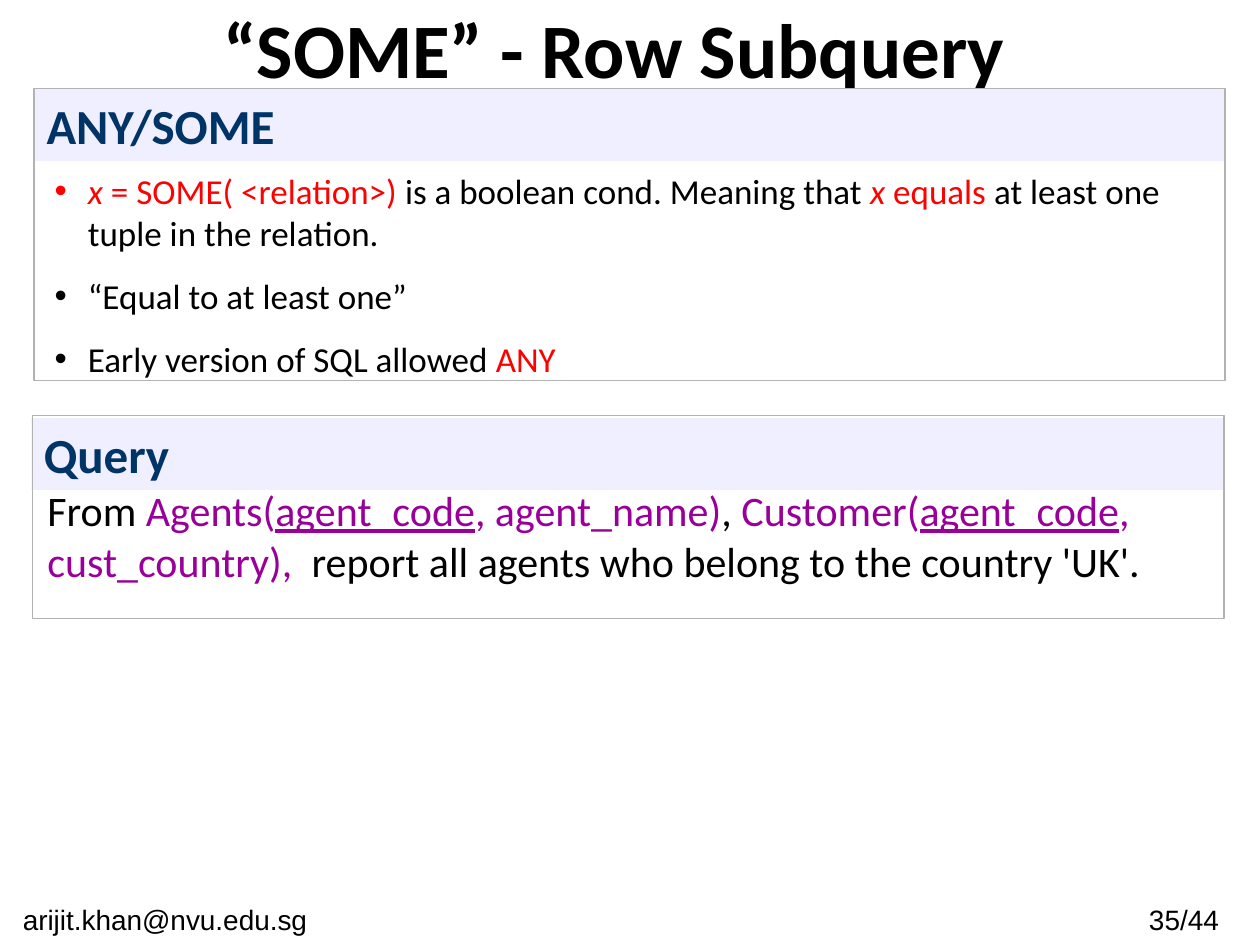
import pptx
import pptx.util
import pptx.dml.color
import pptx.enum.shapes
import pptx.enum.text
import lxml.etree

Pt = pptx.util.Pt
RGBColor = pptx.dml.color.RGBColor
ALIGN = pptx.enum.text.PP_ALIGN
ANCHOR = pptx.enum.text.MSO_ANCHOR

BLACK = RGBColor(0, 0, 0)
RED = RGBColor(0xFF, 0, 0)
PURPLE = RGBColor(0x99, 0, 0x99)
NAVY = RGBColor(0, 0x33, 0x66)
LAVENDER = RGBColor(0xEF, 0xEF, 0xFF)
GREY = RGBColor(0xB2, 0xB2, 0xB2)

# Each run is (text, colour, style); style letters: b bold, i italic, u underline.
TITLE = [("“SOME” - Row Subquery", BLACK, "b")]
POINTS = [
    [("x", RED, "i"), (" = SOME( <relation>) ", RED, ""),
     ("is a boolean cond. Meaning that ", BLACK, ""),
     ("x", RED, "i"), (" equals ", RED, ""),
     ("at least one tuple in the relation.", BLACK, "")],
    [("“Equal to at least one”", BLACK, "")],
    [("Early version of SQL allowed ", BLACK, ""), ("ANY", RED, "")],
]
QUERY = [
    ("From ", BLACK, ""),
    ("Agents(", PURPLE, ""), ("agent_code", PURPLE, "u"), (", agent_name)", PURPLE, ""),
    (", ", BLACK, ""),
    ("Customer(", PURPLE, ""), ("agent_code", PURPLE, "u"), (", cust_country), ", PURPLE, ""),
    (" report all agents who belong to the country 'UK'.", BLACK, ""),
]
# Heading, heading area, frame area (left, top, width, height)
PANELS = [
    ("Query", (18, 239, 681, 41), (18.5, 237.5, 681, 116)),
    ("ANY/SOME", (19.5, 51, 680.5, 41), (19.5, 50.5, 680.5, 167)),
]
# Text, left, width
FOOTERS = [("35/44 ", 637, 83.5), ("arijit.khan@nvu.edu.sg ", 0, 193)]

TITLE_AREA = (18, 0, 666, 54)
POINTS_AREA = (24, 93.5, 677, 128)
QUERY_AREA = (20, 273.5, 680, 65.5)
FOOTER_TOP, FOOTER_HEIGHT = 512, 28
BULLET_INDENT = 19
POINT_GAP = 12


def place(shape, area):
    shape.left, shape.top, shape.width, shape.height = [Pt(value) for value in area]


def prepare(shape, anchor=ANCHOR.TOP):
    """Give the shape a wrapping text frame of fixed size and return it."""
    frame = shape.text_frame
    frame.word_wrap = True
    frame.auto_size = pptx.enum.text.MSO_AUTO_SIZE.NONE
    frame.vertical_anchor = anchor
    return frame


def write(para, runs, size, font="Calibri", align=ALIGN.LEFT):
    para.alignment = align
    for text, colour, style in runs:
        span = para.add_run()
        span.text = text
        span.font.name = font
        span.font.size = Pt(size)
        span.font.color.rgb = colour
        span.font.bold = "b" in style
        span.font.italic = "i" in style
        span.font.underline = "u" in style


def add_bullet(para):
    properties = para._p.get_or_add_pPr()
    properties.set("marL", str(Pt(BULLET_INDENT)))
    properties.set("indent", str(-Pt(BULLET_INDENT)))
    namespace = pptx.oxml.ns.qn
    font = lxml.etree.SubElement(properties, namespace("a:buFont"))
    font.set("typeface", "Arial")
    lxml.etree.SubElement(properties, namespace("a:buChar")).set("char", "•")


def add_rectangle(page, area):
    box = page.shapes.add_shape(
        pptx.enum.shapes.MSO_SHAPE.RECTANGLE, *[Pt(value) for value in area])
    box.shadow.inherit = False
    return box


def add_text(page, area, runs, size, **options):
    box = page.shapes.add_textbox(*[Pt(value) for value in area])
    write(prepare(box).paragraphs[0], runs, size, **options)


def add_panel(page, heading, heading_area, frame_area):
    band = add_rectangle(page, heading_area)
    band.fill.solid()
    band.fill.fore_color.rgb = LAVENDER
    band.line.fill.background()
    write(prepare(band).paragraphs[0], [(heading, NAVY, "b")], 28)
    outline = add_rectangle(page, frame_area)
    outline.fill.background()
    outline.line.color.rgb = GREY
    outline.line.width = Pt(0.75)


def main():
    deck = pptx.Presentation()
    deck.slide_width, deck.slide_height = Pt(720), Pt(540)
    page = deck.slides.add_slide(deck.slide_layouts[1])

    title = page.shapes.title
    place(title, TITLE_AREA)
    write(prepare(title, ANCHOR.MIDDLE).paragraphs[0], TITLE, 44, align=ALIGN.CENTER)

    body = page.placeholders[1]
    place(body, POINTS_AREA)
    frame = prepare(body)
    for number, runs in enumerate(POINTS):
        para = frame.add_paragraph() if number else frame.paragraphs[0]
        para.space_before = Pt(POINT_GAP if number else 0)
        add_bullet(para)
        write(para, runs, 20)

    for panel in PANELS:
        add_panel(page, *panel)
    add_text(page, QUERY_AREA, QUERY, 24)
    for text, left, width in FOOTERS:
        add_text(page, (left, FOOTER_TOP, width, FOOTER_HEIGHT),
                 [(text, BLACK, "")], 16, font="Arial", align=ALIGN.CENTER)

    deck.save("out.pptx")


if __name__ == "__main__":
    main()
